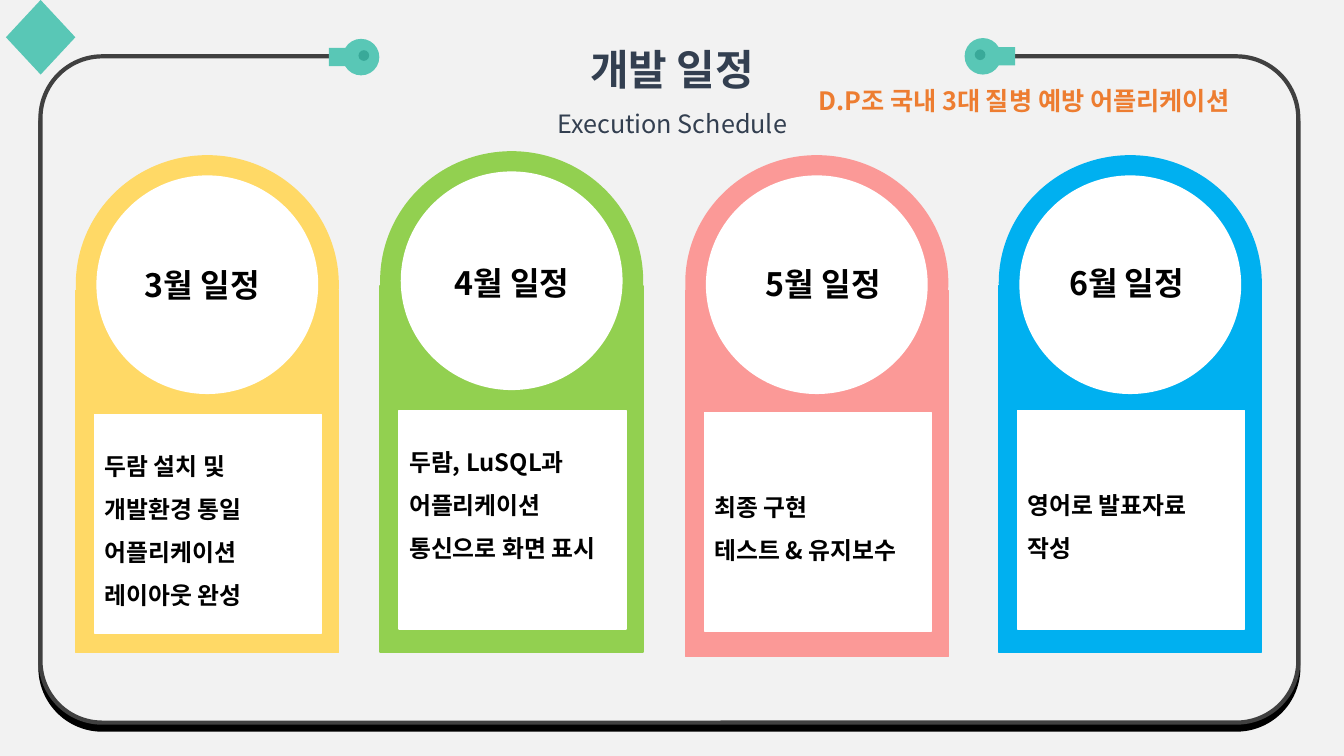
from math import cos, radians, sin

from lxml.etree import SubElement
from pptx import Presentation
from pptx.dml.color import RGBColor
from pptx.enum.shapes import MSO_SHAPE
from pptx.enum.text import MSO_ANCHOR, MSO_AUTO_SIZE, PP_ALIGN
from pptx.oxml.ns import qn
from pptx.util import Cm, Pt

FONT = "Noto Sans CJK KR"
BACKGROUND, WHITE, BLACK = "F2F2F2", "FFFFFF", "000000"
TEAL, DARK_TEAL = "59C7B6", "39A999"
NAVY, ORANGE, CHARCOAL = "333F50", "ED7D31", "404040"

# name, colour, left, arch top, arch height, body top, body height,
# note top, label offset, label top, note paragraphs, extra space under the note
MONTHS = [
    ("3월 일정", "FFD966", 1.91, 3.91, 6.53, 7.32, 9.12, 10.44, 0.25, 6.55,
     ["두람 설치 및 개발환경 통일", "어플리케이션 레이아웃 완성"], 0),
    ("4월 일정", "92D050", 9.58, 3.81, 6.53, 7.21, 9.22, 10.34, 0.38, 6.5,
     ["두람, LuSQL과", "어플리케이션 통신으로 화면 표시"], 1.08),
    ("5월 일정", "FB9997", 17.27, 3.91, 6.43, 7.32, 9.22, 10.39, 0.53, 6.53,
     ["최종 구현", "테스트 & 유지보수"], 0),
    ("6월 일정", "00B0F0", 25.17, 3.91, 6.43, 7.21, 9.22, 10.34, 0.28, 6.5,
     ["영어로 발표자료 작성"], 0),
]


def color(value):
    return RGBColor.from_string(value)


def paint(shape, fill, line=None, width=1):
    shape.shadow.inherit = False
    shape.fill.solid()
    shape.fill.fore_color.rgb = color(fill)
    if line:
        shape.line.color.rgb = color(line)
        shape.line.width = Pt(width)
    else:
        shape.line.fill.background()


def add_box(shapes, preset, box, fill, line=None, width=1):
    shape = shapes.add_shape(preset, *map(Cm, box))
    paint(shape, fill, line, width)
    return shape


def write(shape, lines, align=PP_ALIGN.LEFT, spacing=1, anchor=MSO_ANCHOR.TOP):
    """Write one paragraph for each (text, size, colour, bold)."""
    frame = shape.text_frame
    frame.word_wrap = True
    frame.vertical_anchor = anchor
    for index, (text, size, ink, bold) in enumerate(lines):
        paragraph = frame.add_paragraph() if index else frame.paragraphs[0]
        paragraph.alignment = align
        paragraph.line_spacing = float(spacing)
        run = paragraph.add_run()
        run.text = text
        run.font.name = FONT
        run.font.size = Pt(size)
        run.font.bold = bold
        run.font.color.rgb = color(ink)
        SubElement(run.font._element, qn("a:ea"), typeface=FONT)
    return frame


def add_frame(slide, box):
    frame = add_box(slide.shapes, MSO_SHAPE.ROUNDED_RECTANGLE, box, BACKGROUND, CHARCOAL, 3)
    frame.adjustments[0] = 0.093
    effects = frame.element.spPr.find(qn("a:effectLst"))
    shadow = SubElement(effects, qn("a:outerShdw"), blurRad="0", dist=str(Pt(5)),
                        dir="5400000", algn="t", rotWithShape="0")
    SubElement(shadow, qn("a:srgbClr"), val=BLACK)


def add_header(slide, box):
    title = add_box(slide.shapes, MSO_SHAPE.RECTANGLE, box, BACKGROUND)
    write(title, [("개발 일정", 30, NAVY, True), ("Execution Schedule", 18, NAVY, False)],
          PP_ALIGN.CENTER, 1.5)


def add_caption(slide, box):
    caption = slide.shapes.add_textbox(*map(Cm, box))
    frame = write(caption, [("D.P조 국내 3대 질병 예방 어플리케이션", 18, ORANGE, True)])
    frame.word_wrap = False
    frame.auto_size = MSO_AUTO_SIZE.SHAPE_TO_FIT_TEXT


def add_plug(slide, center_x, center_y, direction):
    """Draw a round plug whose stem points right (1) or left (-1)."""
    radius, stem, hole = 0.46, 0.81, 0.27
    outline = [(stem, -radius / 2)]
    outline += [(radius * cos(radians(angle)), -radius * sin(radians(angle)))
                for angle in range(30, 331, 15)]
    outline.append((stem, radius / 2))
    points = [(Cm(center_x + direction * x), Cm(center_y + y)) for x, y in outline]
    group = slide.shapes.add_group_shape()
    builder = group.shapes.build_freeform(*points[0])
    builder.add_line_segments(points[1:], close=True)
    paint(builder.convert_to_shape(), TEAL)
    hole_x = center_x - direction * 0.07
    add_box(group.shapes, MSO_SHAPE.OVAL,
            (hole_x - hole / 2, center_y - 0.04 - hole / 2, hole, hole), DARK_TEAL)


def add_month(slide, name, fill, left, arch_top, arch_height, body_top, body_height,
              note_top, label_offset, label_top, notes, space_below):
    shapes, width = slide.shapes, 6.63
    add_box(shapes, MSO_SHAPE.RECTANGLE, (left, body_top, width, body_height), fill, fill)
    add_box(shapes, MSO_SHAPE.OVAL, (left, arch_top, width, arch_height), fill)
    add_box(shapes, MSO_SHAPE.OVAL, (left + 0.52, arch_top + 0.51, 5.59, 5.51), WHITE)
    note = add_box(shapes, MSO_SHAPE.RECTANGLE, (left + 0.48, note_top, 5.72, 5.51), WHITE, WHITE)
    frame = write(note, [(text, 17, BLACK, True) for text in notes],
                  spacing=1.5, anchor=MSO_ANCHOR.MIDDLE)
    frame.margin_bottom = Cm(0.13 + space_below)
    label = shapes.add_textbox(*map(Cm, (left + label_offset, label_top, 5.89, 1.24)))
    write(label, [(name, 23, BLACK, True)], PP_ALIGN.CENTER)


def main():
    presentation = Presentation()
    presentation.slide_width = Cm(33.87)
    presentation.slide_height = Cm(19.05)
    slide = presentation.slides.add_slide(presentation.slide_layouts[6])
    slide.background.fill.solid()
    slide.background.fill.fore_color.rgb = color(BACKGROUND)

    add_frame(slide, (1.02, 1.42, 31.7, 16.79))
    add_header(slide, (8.43, 0.33, 17.02, 3.33))
    add_plug(slide, 24.77, 1.42, 1)
    add_plug(slide, 9.1, 1.44, -1)
    add_box(slide.shapes, MSO_SHAPE.DIAMOND, (0.15, 0, 1.75, 1.88), TEAL)
    for month in MONTHS:
        add_month(slide, *month)
    add_caption(slide, (20.37, 2.03, 11.89, 1.02))
    presentation.save("out.pptx")


if __name__ == "__main__":
    main()
